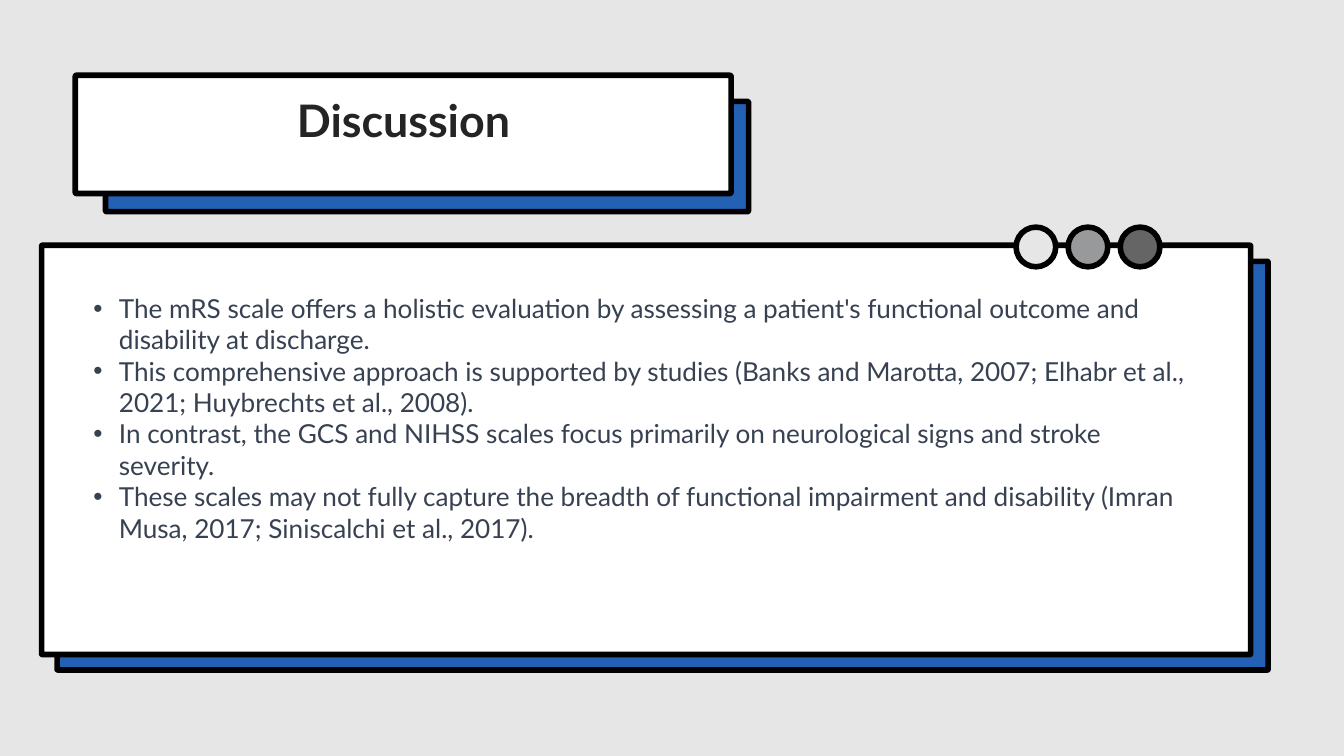
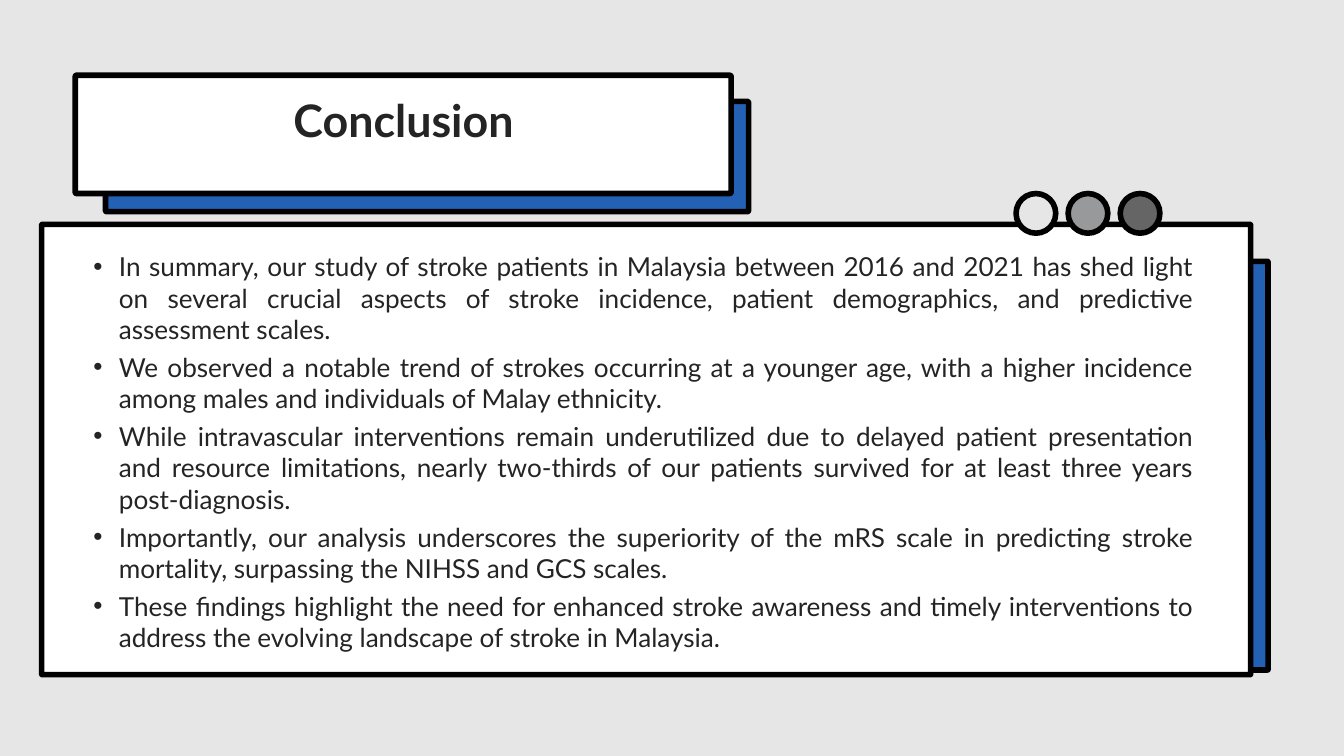
from lxml import etree
from pptx import Presentation
from pptx.dml.color import RGBColor
from pptx.enum.shapes import MSO_SHAPE as Shape
from pptx.enum.text import MSO_AUTO_SIZE as AutoSize, PP_ALIGN as Align
from pptx.oxml.ns import qn
from pptx.util import Inches, Pt

BACKGROUND = RGBColor(0xE6, 0xE6, 0xE6)
BLUE = RGBColor(0x23, 0x61, 0xB4)
WHITE = RGBColor(0xFF, 0xFF, 0xFF)
BLACK = RGBColor(0x00, 0x00, 0x00)
INK = RGBColor(0x24, 0x24, 0x25)
SLATE = RGBColor(0x37, 0x41, 0x51)
MID_GRAY = RGBColor(0x98, 0x99, 0x9B)
DARK_GRAY = RGBColor(0x66, 0x65, 0x65)
FONT = "Lato"

DISCUSSION = [
    "The mRS scale offers a holistic evaluation by assessing a patient's functional outcome "
    "and disability at discharge.",
    "This comprehensive approach is supported by studies (Banks and Marotta, 2007; "
    "Elhabr et al., 2021; Huybrechts et al., 2008).",
    "In contrast, the GCS and NIHSS scales focus primarily on neurological signs "
    "and stroke severity.",
    "These scales may not fully capture the breadth of functional impairment and disability "
    "(Imran Musa, 2017; Siniscalchi et al., 2017).",
]
CONCLUSION = [
    "In summary, our study of stroke patients in Malaysia between 2016 and 2021 has shed light "
    "on several crucial aspects of stroke incidence, patient demographics, and predictive "
    "assessment scales.",
    "We observed a notable trend of strokes occurring at a younger age, with a higher incidence "
    "among males and individuals of Malay ethnicity.",
    "While intravascular interventions remain underutilized due to delayed patient presentation "
    "and resource limitations, nearly two-thirds of our patients survived for at least three "
    "years post-diagnosis.",
    "Importantly, our analysis underscores the superiority of the mRS scale in predicting stroke "
    "mortality, surpassing the NIHSS and GCS scales.",
    "These findings highlight the need for enhanced stroke awareness and timely interventions "
    "to address the evolving landscape of stroke in Malaysia.",
]


def write(paragraph, text, size=28, color=INK, bold=False, align=Align.LEFT,
          line_spacing=None, space_after=None, bullet=False):
    run = paragraph.add_run()
    run.text = text
    run.font.name = FONT
    run.font.size = Pt(size)
    run.font.bold = bold
    run.font.color.rgb = color
    paragraph.alignment = align
    if line_spacing:
        paragraph.line_spacing = Pt(line_spacing)
    if space_after:
        paragraph.space_after = Pt(space_after)
    if bullet:
        properties = paragraph._p.get_or_add_pPr()
        properties.set("marL", str(Inches(0.38)))
        properties.set("indent", str(Inches(-0.38)))
        etree.SubElement(properties, qn("a:buFont")).set("typeface", "Arial")
        etree.SubElement(properties, qn("a:buChar")).set("char", "•")


class Deck:
    def __init__(self):
        self.presentation = Presentation()
        self.presentation.slide_width = Inches(20)
        self.presentation.slide_height = Inches(11.25)
        self.slide = None

    def add_slide(self):
        self.slide = self.presentation.slides.add_slide(self.presentation.slide_layouts[6])
        fill = self.slide.background.fill
        fill.solid()
        fill.fore_color.rgb = BACKGROUND

    def outlined(self, kind, left, top, width, height, color):
        shape = self.slide.shapes.add_shape(
            kind, Inches(left), Inches(top), Inches(width), Inches(height))
        shape.shadow.inherit = False
        shape.fill.solid()
        shape.fill.fore_color.rgb = color
        shape.line.color.rgb = BLACK
        shape.line.width = Pt(6)
        return shape

    def panel(self, left, top, width, height, color, radius=0.01):
        shape = self.outlined(Shape.ROUNDED_RECTANGLE, left, top, width, height, color)
        shape.adjustments[0] = radius / min(width, height)

    def dots(self, top):
        for index, color in enumerate((BACKGROUND, MID_GRAY, DARK_GRAY)):
            self.outlined(Shape.OVAL, 15.12 + index * 0.775, top, 0.59, 0.59, color)

    def text(self, left, top, width, height, lines, **style):
        box = self.slide.shapes.add_textbox(
            Inches(left), Inches(top), Inches(width), Inches(height))
        frame = box.text_frame
        frame.word_wrap = True
        frame.auto_size = AutoSize.SHAPE_TO_FIT_TEXT
        frame.margin_left = frame.margin_right = frame.margin_top = frame.margin_bottom = 0
        for index, line in enumerate(lines):
            paragraph = frame.add_paragraph() if index else frame.paragraphs[0]
            write(paragraph, line, **style)

    def content_slide(self, title, lines, card_top, card_height, dots_top,
                      text_top, text_height, **style):
        self.add_slide()
        self.panel(1.57, 1.51, 9.57, 1.64, BLUE, radius=0.02)
        self.panel(1.12, 1.12, 9.76, 1.76, WHITE, radius=0.02)
        self.panel(0.85, 3.89, 18.02, 6.08, BLUE)
        self.panel(0.62, card_top, 17.99, card_height, WHITE)
        self.text(2, 1.38, 8.01, 0.81, [title], size=48, bold=True, align=Align.CENTER)
        self.dots(dots_top)
        self.text(1.39, text_top, 16.36, text_height, lines, bullet=True, **style)


def main():
    deck = Deck()
    deck.content_slide("Discussion", DISCUSSION, card_top=3.65, card_height=6.09,
                       dots_top=3.38, text_top=4.35, text_height=3.77, color=SLATE)
    deck.content_slide("Conclusion", CONCLUSION, card_top=3.34, card_height=6.7,
                       dots_top=2.88, text_top=3.72, text_height=7.16,
                       align=Align.JUSTIFY, line_spacing=34, space_after=6)
    deck.presentation.save("out.pptx")


if __name__ == "__main__":
    main()
